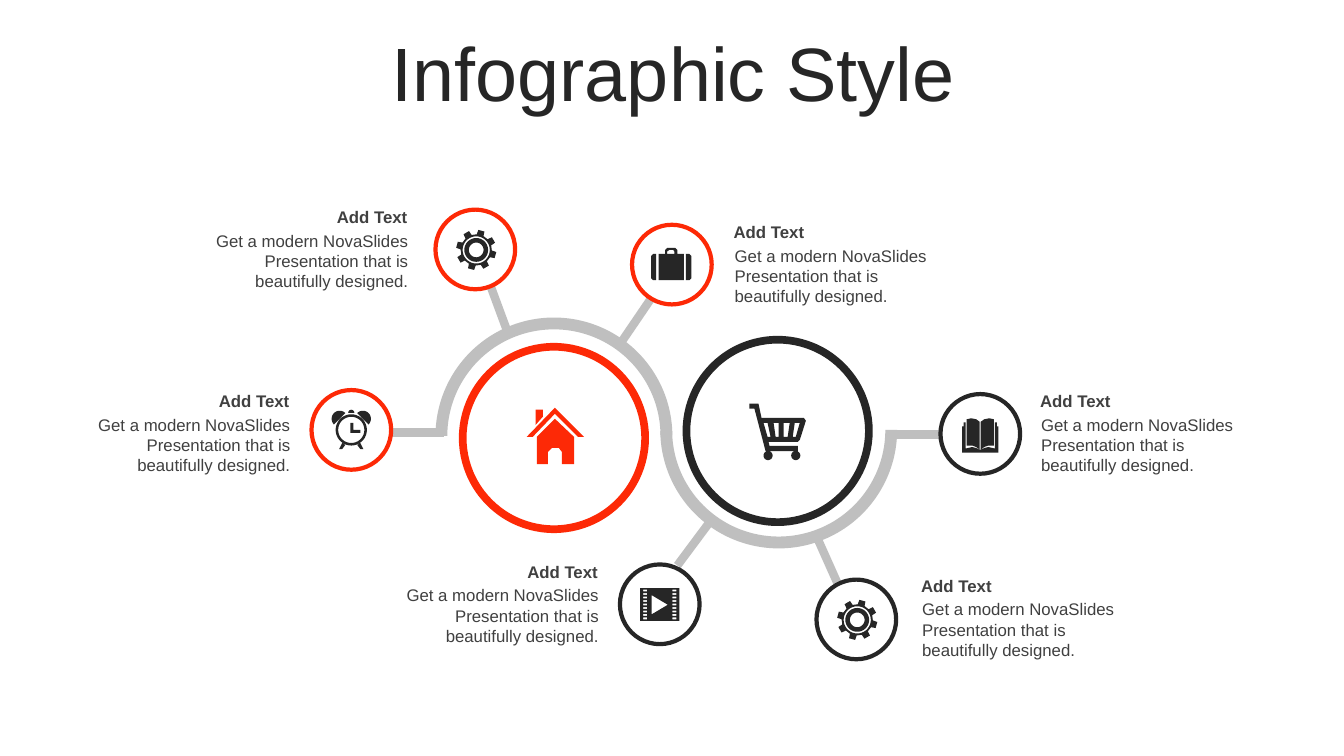
import math
from dataclasses import dataclass

from pptx import Presentation
from pptx import util as u
from pptx.dml.color import RGBColor
from pptx.enum import shapes as kinds, text as txt
from pptx.oxml.ns import qn

RED = RGBColor(0xFD, 0x29, 0x06)
DARK = RGBColor(0x26, 0x26, 0x26)
GREY = RGBColor(0xBF, 0xBF, 0xBF)
WHITE = RGBColor(0xFF, 0xFF, 0xFF)
BODY = RGBColor(0x40, 0x40, 0x40)
FONT = "Arial"
HEADING = "Add Text"
DETAIL = "Get a modern NovaSlides Presentation that is beautifully designed."

# The slide is a grid of square cells; icons use tenths of a cell
CELL = u.Inches(0.1)
COLUMNS, ROWS = 133.33, 75
HUB_SIZE, NODE_SIZE, ARC_SIZE = 18.1, 7.9, 23.5

Point = tuple[float, float]
Outline = list[Point]


def grid(cells: float) -> u.Emu:
    return u.Emu(round(cells * CELL))


# Outline helpers, all relative to the centre of a disc
def arc(x: float, y: float, radius: float, start: int = 0, end: int = 360) -> Outline:
    return [(x + radius * math.cos(math.radians(a)), y + radius * math.sin(math.radians(a)))
            for a in range(start, end + 1, 10)]


def rect(left: float, top: float, right: float, bottom: float) -> Outline:
    return [(left, top), (right, top), (right, bottom), (left, bottom)]


def both_sides(outline: Outline) -> list[Outline]:
    return [outline, [(-x, y) for x, y in outline]]


def gear_teeth(count: int = 8) -> Outline:
    corners = [(-13, 15.5), (-9, 20), (9, 20), (13, 15.5)]
    return [(1 + r * math.cos(math.radians(a)), 0.5 + r * math.sin(math.radians(a)))
            for tooth in range(count) for turn, r in corners
            for a in [15 + tooth * 360 / count + turn]]


HOUSE = [
    [(1, -19), (20, -1), (20, 26), (8, 26), (8, 14), (5, 10), (-2, 10), (-6, 14),
     (-6, 26), (-17, 26), (-17, -1)],
    [(-18, -28), (-11, -28), (-11, -21), (-18, -13)],
    [(1, -30), (30, -1), (24, -1), (1, -24), (-21, -1), (-27, -1)],
]
CART = [
    [(-28, -27), (-19, -27), (-16, -13), (26, -13), (28, -10), (22, 9), (20, 11),
     (-9, 11), (-8, 15), (20, 15), (20, 20), (-12, 20), (-23, -22), (-28, -22)],
    [(17, -8), (15, 6), (18, 6), (22, -8)],
    [(6, -8), (6, 6), (10, 6), (12, -8)],
    [(-4, -8), (-2, 6), (1, 6), (1, -8)],
    [(-14, -8), (-10, 6), (-7, 6), (-10, -8)],
    arc(18, 24.5, 4.5), arc(-9.5, 24.5, 4.5),
]
ALARM = [
    arc(0, 0, 15.5), arc(0, 0, 13),
    [(-1, -7), (2, -7), (2, 0), (9, 0), (9, 3), (-1, 3)],
    *both_sides([(9, 13), (12, 19), (9, 19), (6, 15)]),
    *both_sides(arc(-11.5, -11, 8, 135, 315)),
    arc(0, -17, 3, 180, 360),
]
GEAR = [gear_teeth(), *(arc(1, 0.5, r) for r in (13.5, 11.8, 7.3))]
SUITCASE = [
    rect(-13, -10.5, 12, 15.5),
    [(-15.5, -10.5), (-15.5, 15.5), (-18.5, 15.5), (-20.5, 13.5), (-20.5, -8.5), (-18.5, -10.5)],
    [(14, -10.5), (14, 15.5), (17.5, 15.5), (19.5, 13.5), (19.5, -8.5), (17.5, -10.5)],
    [(-6.5, -10.5), (-6.5, -14.5), (-4.5, -16.5), (3.5, -16.5), (5.5, -14.5), (5.5, -10.5),
     (2.5, -10.5), (2.5, -13), (1.5, -14.5), (-2.5, -14.5), (-4.5, -13), (-4.5, -10.5)],
]
BOOK = [
    *both_sides([(-0.5, -12), (-4, -14.5), (-9, -15.5), (-13.5, -14.5), (-13.5, 11.5),
                 (-8, 11.5), (-4, 13), (-0.5, 15.5)]),
    *both_sides([(0, 16), (-4, 14), (-8, 13), (-14.5, 14.5), (-14.5, -11.5), (-16.5, -11.5),
                 (-16.5, -7.5), (-18, -7.5), (-18, 18.5), (0, 18.5)]),
]
FILM = [
    rect(-19.5, -16, 19.5, 16.5),
    [(-8, -9), (-8, 10), (8, 0.5)],
    *(hole for row in range(9)
      for hole in both_sides(rect(12.5, -14.5 + 3.45 * row, 16.5, -12.7 + 3.45 * row))),
]


@dataclass(frozen=True)
class Hub:
    left: float
    top: float
    colour: RGBColor
    icon: list[Outline]
    icon_colour: RGBColor
    arc_at: Point
    arc_turn: int


@dataclass(frozen=True)
class Node:
    left: float
    top: float
    colour: RGBColor
    icon: list[Outline]
    text_at: Point
    align: txt.PP_ALIGN
    link: tuple[float, float, float, float]


RIGHT, LEFT = txt.PP_ALIGN.RIGHT, txt.PP_ALIGN.LEFT
HUBS = [
    Hub(45.9, 34.4, RED, HOUSE, RED, (43.2, 31.5), 0),
    Hub(68.1, 33.7, DARK, CART, DARK, (65.5, 30.9), 180),
]
NODES = [
    Node(30.9, 38.7, RED, ALARM, (8.0, 38.3), RIGHT, (44, 42.9, 38.9, 42.9)),
    Node(43.2, 20.8, RED, GEAR, (19.7, 20), RIGHT, (50.3, 32.8, 48.6, 28.2)),
    Node(62.7, 22.3, RED, SUITCASE, (71.8, 21.5), LEFT, (61.4, 34.3, 64.6, 29.6)),
    Node(93.3, 39.1, DARK, BOOK, (102.2, 38.3), LEFT, (88.1, 43.1, 93.3, 43.1)),
    Node(81, 57.5, DARK, GEAR, (90.4, 56.6), LEFT, (81, 53.2, 83.1, 57.9)),
    Node(61.5, 56, DARK, FILM, (38.6, 55.2), RIGHT, (70.4, 51.8, 67.2, 56.1)),
]


def draw_disc(slide, left: float, top: float, size: float, colour: RGBColor, weight: float) -> None:
    disc = slide.shapes.add_shape(kinds.MSO_SHAPE.OVAL, grid(left), grid(top), grid(size), grid(size))
    disc.shadow.inherit = False
    disc.fill.solid()
    disc.fill.fore_color.rgb = WHITE
    disc.line.color.rgb = colour
    disc.line.width = u.Pt(weight)


def draw_icon(slide, x: float, y: float, outlines: list[Outline], colour: RGBColor) -> None:
    builder = None
    for outline in outlines:
        start, *rest = [(grid(x + dx / 10), grid(y + dy / 10)) for dx, dy in outline]
        if builder is None:
            builder = slide.shapes.build_freeform(*start)
        else:
            builder.move_to(*start)
        builder.add_line_segments(rest, close=True)
    icon = builder.convert_to_shape()
    icon.shadow.inherit = False
    icon.fill.solid()
    icon.fill.fore_color.rgb = colour
    icon.line.fill.background()


def draw_arc(slide, hub: Hub) -> None:
    left, top = hub.arc_at
    band = slide.shapes.add_shape(kinds.MSO_SHAPE.BLOCK_ARC, grid(left), grid(top),
                                  grid(ARC_SIZE), grid(ARC_SIZE))
    band.adjustments[0], band.adjustments[1], band.adjustments[2] = 108, 215.66, 0.05
    band.rotation = hub.arc_turn
    band.shadow.inherit = False
    band.fill.solid()
    band.fill.fore_color.rgb = GREY
    band.line.fill.background()


def draw_link(slide, node: Node) -> None:
    link = slide.shapes.add_connector(kinds.MSO_CONNECTOR.STRAIGHT, *map(grid, node.link))
    link.line.color.rgb = GREY
    link.line.width = u.Pt(6)
    properties = link._element.spPr
    properties.append(properties.makeelement(qn("a:effectLst"), {}))


def draw_text(slide, left: float, top: float, height: float, words: str,
              align: txt.PP_ALIGN, bold: bool) -> None:
    frame = slide.shapes.add_textbox(grid(left), grid(top), grid(21.7), grid(height)).text_frame
    frame.word_wrap = True
    frame.auto_size = txt.MSO_AUTO_SIZE.SHAPE_TO_FIT_TEXT
    style(frame.paragraphs[0], words, align, 12, BODY, bold)


def style(paragraph, words: str, align: txt.PP_ALIGN, size: int, colour: RGBColor,
          bold: bool = False) -> None:
    paragraph.text = words
    paragraph.alignment = align
    font = paragraph.font
    font.name, font.size, font.bold = FONT, u.Pt(size), bold
    font.color.rgb = colour


def main() -> None:
    deck = Presentation()
    deck.slide_width, deck.slide_height = grid(COLUMNS), grid(ROWS)
    slide = deck.slides.add_slide(deck.slide_layouts[5])

    # Title
    title = slide.shapes.title
    title.left, title.top, title.width, title.height = map(grid, (3.5, 3.7, 126.6, 7.9))
    title.text_frame.auto_size = txt.MSO_AUTO_SIZE.NONE
    title.text_frame.vertical_anchor = txt.MSO_ANCHOR.MIDDLE
    style(title.text_frame.paragraphs[0], "Infographic Style", txt.PP_ALIGN.CENTER, 54, DARK)
    title.text_frame.paragraphs[0].line_spacing = 0.9

    # Two hubs with their half rings
    for hub in HUBS:
        draw_arc(slide, hub)
        draw_disc(slide, hub.left, hub.top, HUB_SIZE, hub.colour, 5.5)
        draw_icon(slide, hub.left + HUB_SIZE / 2, hub.top + HUB_SIZE / 2, hub.icon, hub.icon_colour)

    # Six nodes, each with link, icon and text
    for node in NODES:
        draw_link(slide, node)
        draw_disc(slide, node.left, node.top, NODE_SIZE, node.colour, 3)
        draw_icon(slide, node.left + NODE_SIZE / 2, node.top + NODE_SIZE / 2, node.icon, DARK)
        left, top = node.text_at
        draw_text(slide, left, top, 3, HEADING, node.align, True)
        draw_text(slide, left + 0.1, top + 2.35, 7.1, DETAIL, node.align, False)

    deck.save("out.pptx")


if __name__ == "__main__":
    main()
